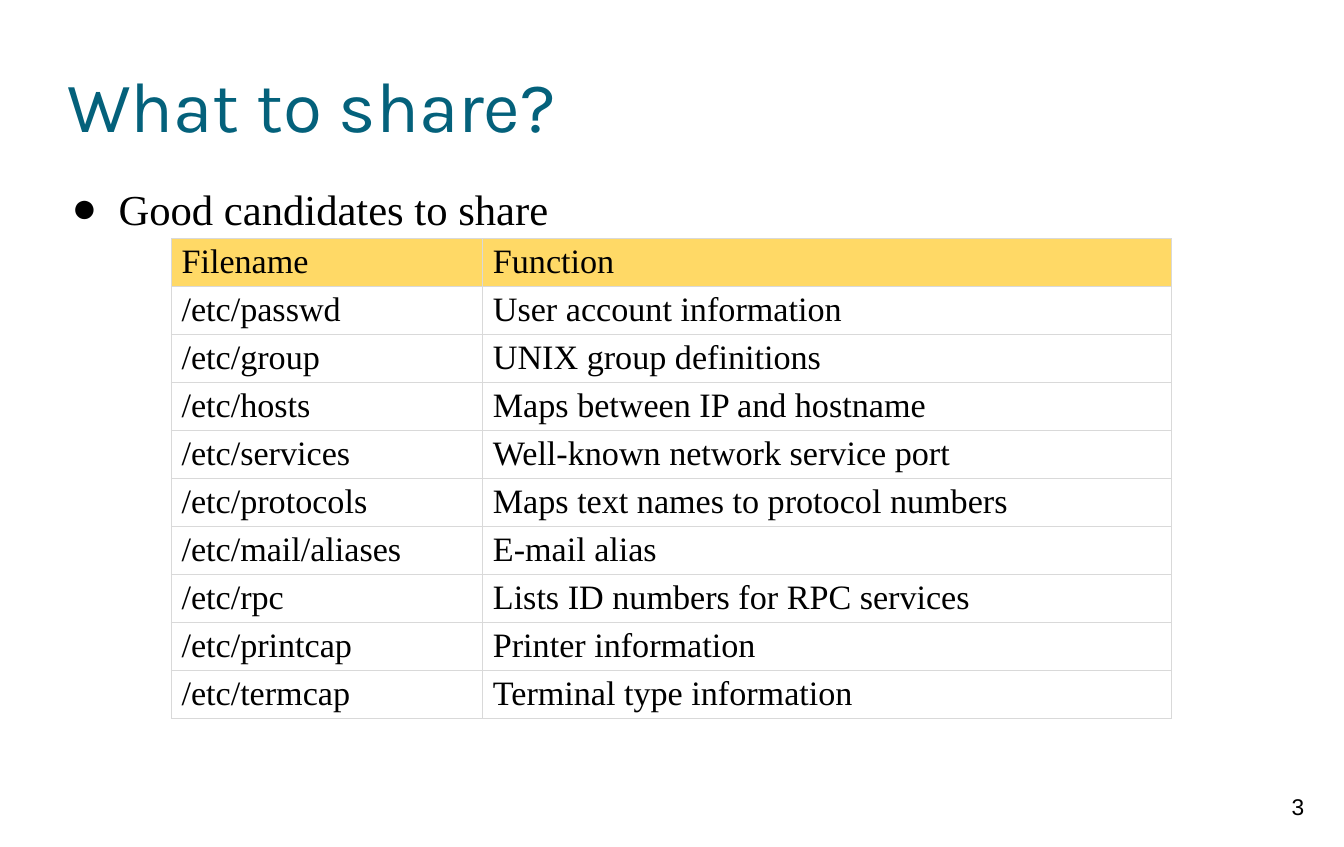
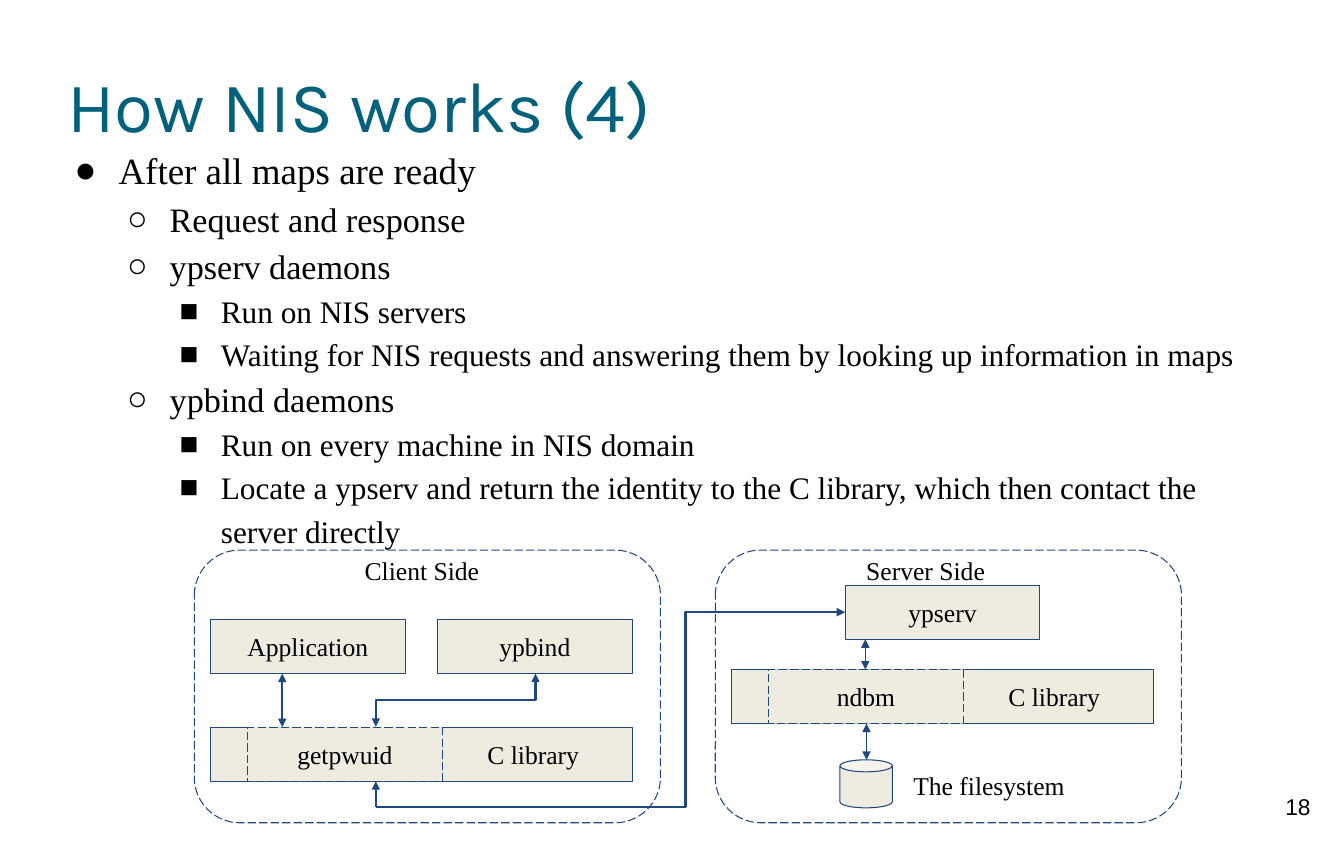
from lxml.etree import SubElement
from pptx import Presentation
from pptx.dml.color import RGBColor
from pptx.enum.dml import MSO_LINE
from pptx.enum.shapes import MSO_CONNECTOR as LINK, MSO_SHAPE as SHAPE
from pptx.enum.text import MSO_ANCHOR as ANCHOR, PP_ALIGN as ALIGN
from pptx.oxml.ns import qn
from pptx.util import Cm, Pt

# Shared style
COLORS = {"title": "04617B", "text": "000000", "header": "FFD966",
          "grid": "D9D9D9", "line": "1F497D", "box": "EEECE1"}
TITLE_FONT, BODY_FONT, NUMBER_FONT = "Karla", "Times New Roman", "Arial"
MARGIN, BODY_WIDTH = 1.67, 30.07
BULLETS = "●○■"
INSET = 0.25

# Diagram sizes in cm
SIDE_W, SIDE_H, SIDE_TOP = 11.56, 6.76, 13.64
BOX_W, BOX_H = 4.83, 1.34
BAR_W, BAR_DX, CALL_DX = 10.46, 0.4, 1.32

# Slide content
SHARED_FILES = [
    ("Filename", "Function"),
    ("/etc/passwd", "User account information"),
    ("/etc/group", "UNIX group definitions"),
    ("/etc/hosts", "Maps between IP and hostname"),
    ("/etc/services", "Well-known network service port"),
    ("/etc/protocols", "Maps text names to protocol numbers"),
    ("/etc/mail/aliases", "E-mail alias"),
    ("/etc/rpc", "Lists ID numbers for RPC services"),
    ("/etc/printcap", "Printer information"),
    ("/etc/termcap", "Terminal type information"),
]
NIS_STEPS = [
    (0, "After all maps are ready"),
    (1, "Request and response"),
    (1, "ypserv daemons"),
    (2, "Run on NIS servers"),
    (2, "Waiting for NIS requests and answering them by looking up "
        "information in maps"),
    (1, "ypbind daemons"),
    (2, "Run on every machine in NIS domain"),
    (2, "Locate a ypserv and return the identity to the C library, "
        "which then contact the server directly"),
]


def color(name):
    return RGBColor.from_string(COLORS[name])


# Text
def style(paragraph, size, font=BODY_FONT, ink="text", align=ALIGN.LEFT):
    paragraph.alignment = align
    paragraph.font.size = Pt(size)
    paragraph.font.name = font
    paragraph.font.color.rgb = color(ink)


def set_frame(frame, inset, anchor=ANCHOR.TOP):
    frame.word_wrap = True
    frame.vertical_anchor = anchor
    frame.margin_left = frame.margin_right = Cm(inset)
    frame.margin_top = frame.margin_bottom = Cm(inset)


def add_text(slide, text, left, top, width, height, size, inset=INSET,
             anchor=ANCHOR.TOP, **look):
    frame = slide.shapes.add_textbox(
        Cm(left), Cm(top), Cm(width), Cm(height)).text_frame
    set_frame(frame, inset, anchor)
    frame.text = text
    style(frame.paragraphs[0], size, **look)


def add_bullets(slide, items, top, height, sizes):
    frame = slide.shapes.add_textbox(
        Cm(MARGIN), Cm(top), Cm(BODY_WIDTH), Cm(height)).text_frame
    set_frame(frame, 0)
    for i, (level, text) in enumerate(items):
        paragraph = frame.add_paragraph() if i else frame.paragraphs[0]
        paragraph.text = text
        paragraph.level = level
        props = paragraph._p.get_or_add_pPr()
        props.set("marL", str(Cm(1.27 * (level + 1))))
        props.set("indent", str(-Pt(18 + sizes[level] / 2)))
        SubElement(props, qn("a:buFont"), typeface=BODY_FONT)
        SubElement(props, qn("a:buChar"), char=BULLETS[level])
        paragraph.line_spacing = 1.15
        style(paragraph, sizes[level])


def add_slide(prs, title, number):
    slide = prs.slides.add_slide(prs.slide_layouts[6])
    add_text(slide, str(number), 31.19, 19.4, 2, 1.6, 16,
             font=NUMBER_FONT, align=ALIGN.CENTER)
    add_text(slide, title, MARGIN, 0.84, 30, 3.5, 50, inset=0,
             anchor=ANCHOR.MIDDLE, font=TITLE_FONT, ink="title")
    return slide


# Table
def set_borders(cell):
    props = cell._tc.get_or_add_tcPr()
    for side in ("lnL", "lnR", "lnT", "lnB"):
        line = SubElement(props, qn("a:" + side), w=str(Pt(0.75)))
        fill = SubElement(line, qn("a:solidFill"))
        SubElement(fill, qn("a:srgbClr"), val=COLORS["grid"])


def add_grid(slide, rows, left, top, widths, row_height):
    table = slide.shapes.add_table(
        len(rows), len(widths), Cm(left), Cm(top),
        Cm(sum(widths)), Cm(row_height * len(rows))).table
    table.first_row = table.horz_banding = False
    for column, width in zip(table.columns, widths):
        column.width = Cm(width)
    for table_row in table.rows:
        table_row.height = Cm(row_height)
    for r, row in enumerate(rows):
        for c, text in enumerate(row):
            cell = table.cell(r, c)
            cell.text = text
            cell.margin_top, cell.margin_bottom = Cm(0.1), Cm(0.05)
            style(cell.text_frame.paragraphs[0], 24)
            set_borders(cell)
            if r == 0:
                cell.fill.solid()
                cell.fill.fore_color.rgb = color("header")
            else:
                cell.fill.background()


# Diagram parts
def add_box(slide, left, top, width=BOX_W, height=BOX_H, text="",
            kind=SHAPE.RECTANGLE, filled=True, dashed=False, text_left=INSET):
    box = slide.shapes.add_shape(
        kind, Cm(left), Cm(top), Cm(width), Cm(height))
    box.shadow.inherit = False
    if filled:
        box.fill.solid()
        box.fill.fore_color.rgb = color("box")
    else:
        box.fill.background()
    box.line.color.rgb = color("line")
    box.line.width = Pt(0.75)
    if dashed:
        box.line.dash_style = MSO_LINE.LONG_DASH
    if text:
        set_frame(box.text_frame, INSET, ANCHOR.MIDDLE)
        box.text_frame.margin_left = Cm(text_left)
        box.text_frame.text = text
        style(box.text_frame.paragraphs[0], 18, align=ALIGN.CENTER)


def add_link(slide, start, end, weight=1.5, kind=LINK.STRAIGHT,
             ends=("headEnd", "tailEnd"), bend=None, turn=0):
    link = slide.shapes.add_connector(kind, *map(Cm, start + end))
    link.line.color.rgb = color("line")
    link.line.width = Pt(weight)
    props = link._element.spPr
    for name in ends:
        SubElement(link.line._get_or_add_ln(), qn("a:" + name),
                   type="triangle")
    SubElement(props, qn("a:effectLst"))
    if bend is not None:
        geometry = props.find(qn("a:prstGeom"))
        guides = geometry.find(qn("a:avLst"))
        if guides is None:
            guides = SubElement(geometry, qn("a:avLst"))
        SubElement(guides, qn("a:gd"), name="adj1",
                   fmla=f"val {round(bend * 100000)}")
    if turn:
        props.find(qn("a:xfrm")).set("rot", str(turn * 60000))


def add_side(slide, label, left, label_dx, bar_top, call):
    add_box(slide, left, SIDE_TOP, SIDE_W, SIDE_H,
            kind=SHAPE.ROUNDED_RECTANGLE, filled=False, dashed=True)
    add_box(slide, left + BAR_DX, bar_top, BAR_W, text="C library",
            text_left=5.8)
    add_box(slide, left + CALL_DX, bar_top, text=call, dashed=True)
    add_text(slide, label, left + label_dx, 13.5, BOX_W, 0.76, 18,
             align=ALIGN.CENTER)


def add_lookup_diagram(slide):
    client, server = 4.82, 17.74
    client_top, client_bar = 15.36, 18.03
    ypserv_left, ypserv_top, server_bar = 20.96, 14.51, 16.6
    disk_top = 18.84

    # Client and server
    add_side(slide, "Client Side", client, 3.23, client_bar, "getpwuid")
    add_side(slide, "Server Side", server, 2.8, server_bar, "ndbm")
    add_box(slide, client + BAR_DX, client_top, text="Application")
    add_box(slide, client + BAR_DX + BAR_W - BOX_W, client_top, text="ypbind")
    add_box(slide, ypserv_left, ypserv_top, text="ypserv")
    add_box(slide, 20.83, disk_top, 1.3, 1.19, kind=SHAPE.CAN)
    add_text(slide, "The filesystem", 22.4, disk_top, BOX_W, 0.76, 18)

    # Calls within each side
    add_link(slide, (7, client_top + BOX_H), (7, client_bar))
    add_link(slide, (10.64, 15.38), (11.96, 19.34), kind=LINK.ELBOW,
             bend=0.5, turn=90)
    add_link(slide, (21.46, ypserv_top + BOX_H), (21.46, server_bar), 0.75)
    add_link(slide, (21.49, server_bar + BOX_H), (21.49, disk_top), 0.75)

    # Request from getpwuid to ypserv
    corner = (9.32, 20.02)
    add_link(slide, (9.32, client_bar + BOX_H), corner, ends=("headEnd",))
    add_link(slide, corner, (ypserv_left, 15.18), kind=LINK.ELBOW,
             ends=("tailEnd",), bend=0.66)


def main():
    prs = Presentation()
    prs.slide_width, prs.slide_height = Cm(33.33), Cm(21)

    sharing = add_slide(prs, "What to share?", 3)
    add_bullets(sharing, [(0, "Good candidates to share")], 4.34, 15.72, [30])
    add_grid(sharing, SHARED_FILES, 4.25, 5.92, [7.72, 17.09], 1.19)

    lookup = add_slide(prs, "How NIS works (4)", 18)
    add_bullets(lookup, NIS_STEPS, 3.5, 9.73, [26, 24, 22])
    add_lookup_diagram(lookup)

    prs.save("out.pptx")


if __name__ == "__main__":
    main()
